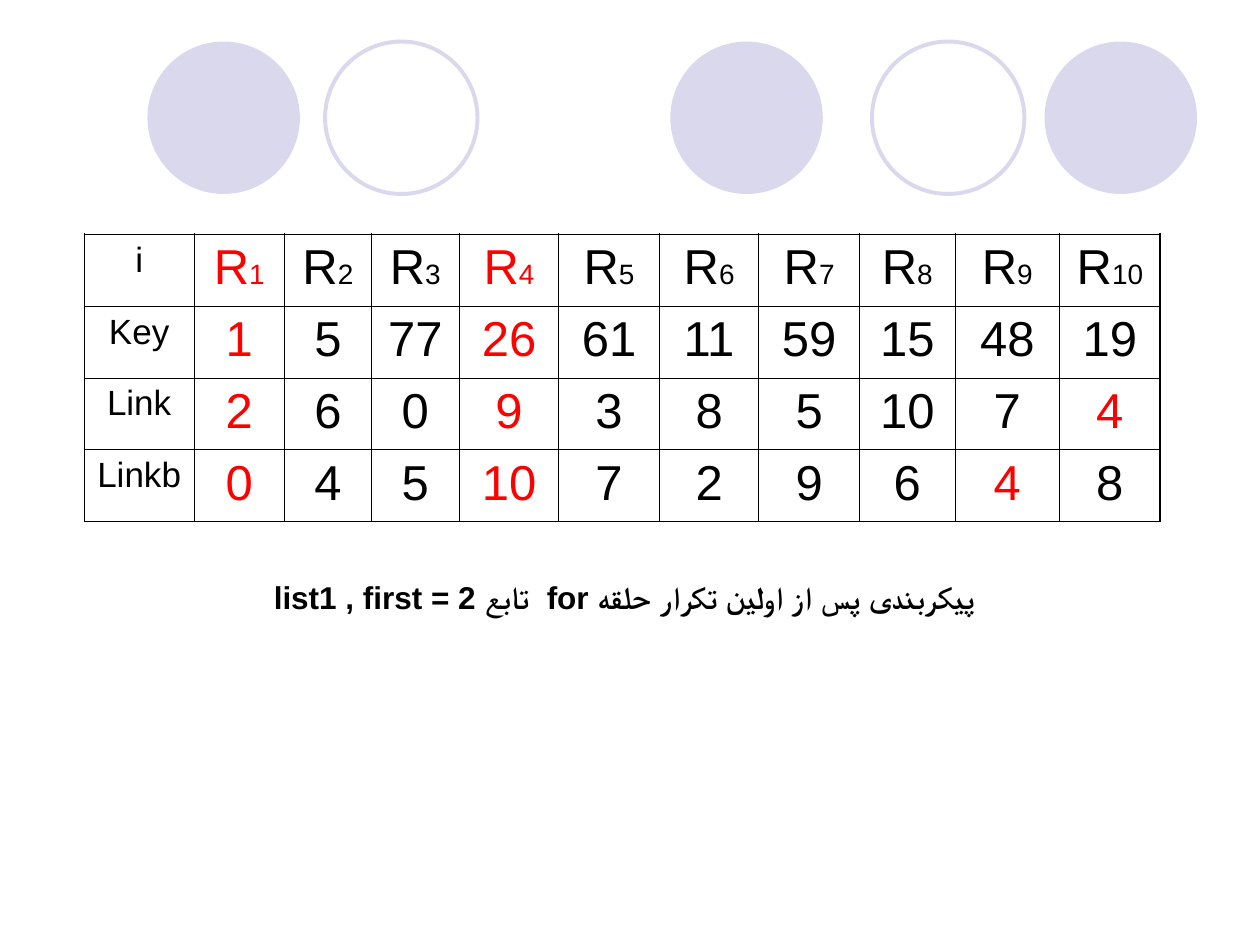
from lxml import etree
from pptx import Presentation
from pptx.dml.color import RGBColor
from pptx.enum.shapes import MSO_SHAPE
from pptx.enum.text import PP_ALIGN
from pptx.oxml.ns import qn
from pptx.util import Inches, Pt

OVAL = MSO_SHAPE.OVAL
CENTER = PP_ALIGN.CENTER
FONT = "Arial"
BLACK, RED, LILAC = "000000", "FF0000", "D9D8EC"
THIN, THICK = 0.45, 1.08

DISCS = [(5.32, True), (8.29, True), (1.17, True), (6.92, False), (2.58, False)]
WIDTHS = [0.87, 0.72, 0.69, 0.7, 0.79, 0.8, 0.79, 0.8, 0.76, 0.83, 0.8]
ROWS = [
    ["i"] + [f"R{n}" for n in range(1, 11)],
    ["Key", 1, 5, 77, 26, 61, 11, 59, 15, 48, 19],
    ["Link", 2, 6, 0, 9, 3, 8, 5, 10, 7, 4],
    ["Linkb", 0, 4, 5, 10, 7, 2, 9, 6, 4, 8],
]
RED_COLS = {1, 4}
RED_CELLS = {(2, 10), (3, 9)}
CAPTION = "پیکربندی پس از اولین تکرار حلقه for  تابع list1 , first = 2"


def color(code):
    """Turn a hex string into a colour."""
    return RGBColor.from_string(code)


def style(run, size, code, bold=False):
    """Format one run of text."""
    font = run.font
    font.name, font.size, font.bold = FONT, Pt(size), bold
    font.color.rgb = color(code)


def draw_discs(slide, top, size):
    """Draw the row of filled and hollow circles."""
    for left, solid in DISCS:
        disc = slide.shapes.add_shape(
            OVAL, Inches(left), Inches(top), Inches(size), Inches(size))
        disc.shadow.inherit = False
        if solid:
            disc.fill.solid()
            disc.fill.fore_color.rgb = color(LILAC)
            disc.line.fill.background()
        else:
            disc.fill.background()
            disc.line.color.rgb = color(LILAC)
            disc.line.width = Pt(2.25)


def set_edges(cell, widths):
    """Give a cell its left, right, top and bottom lines."""
    props = cell._tc.get_or_add_tcPr()
    for side, width in zip("LRTB", widths):
        line = etree.SubElement(props, qn(f"a:ln{side}"), w=str(Pt(width)))
        fill = etree.SubElement(line, qn("a:solidFill"))
        etree.SubElement(fill, qn("a:srgbClr"), val=BLACK)


def fill_cell(cell, row, col):
    """Write the text of one cell, with small digits after each R."""
    text = str(ROWS[row][col])
    para = cell.text_frame.paragraphs[0]
    para.alignment = CENTER
    code = RED if col in RED_COLS or (row, col) in RED_CELLS else BLACK
    if col == 0:
        parts = [(text, 20)]
    elif row == 0:
        parts = [(text[0], 28), (text[1:], 16)]
    else:
        parts = [(text, 28)]
    for part, size in parts:
        run = para.add_run()
        run.text = part
        style(run, size, code)


def draw_table(slide, left, top, width, height):
    """Draw the table of keys and links."""
    table = slide.shapes.add_table(
        len(ROWS), len(WIDTHS), Inches(left), Inches(top),
        Inches(width), Inches(height)).table
    table.first_row = table.horz_banding = False
    last_row, last_col = len(ROWS) - 1, len(WIDTHS) - 1
    for col, share in enumerate(WIDTHS):
        table.columns[col].width = Inches(width * share / sum(WIDTHS))
    for row in range(len(ROWS)):
        table.rows[row].height = Inches(height / len(ROWS))
        for col in range(len(WIDTHS)):
            cell = table.cell(row, col)
            outer = (col == 0, col == last_col, row == 0, row == last_row)
            set_edges(cell, [THICK if edge else THIN for edge in outer])
            cell.fill.background()
            fill_cell(cell, row, col)


def draw_caption(slide, left, top, width, height):
    """Write the right-to-left caption below the table."""
    box = slide.shapes.add_textbox(
        Inches(left), Inches(top), Inches(width), Inches(height))
    frame = box.text_frame
    frame.word_wrap = True
    frame.text = CAPTION
    para = frame.paragraphs[0]
    para.alignment = CENTER
    para._p.get_or_add_pPr().set("rtl", "1")
    style(para.runs[0], 18, BLACK, bold=True)


def main():
    """Build the slide and save it."""
    deck = Presentation()
    deck.slide_width, deck.slide_height = Inches(10), Inches(7.5)
    slide = deck.slides.add_slide(deck.slide_layouts[6])
    draw_discs(slide, 0.33, 1.21)
    draw_table(slide, 0.67, 1.86, 8.54, 2.28)
    draw_caption(slide, 0.98, 4.54, 7.95, 0.86)
    deck.save("out.pptx")


if __name__ == "__main__":
    main()
